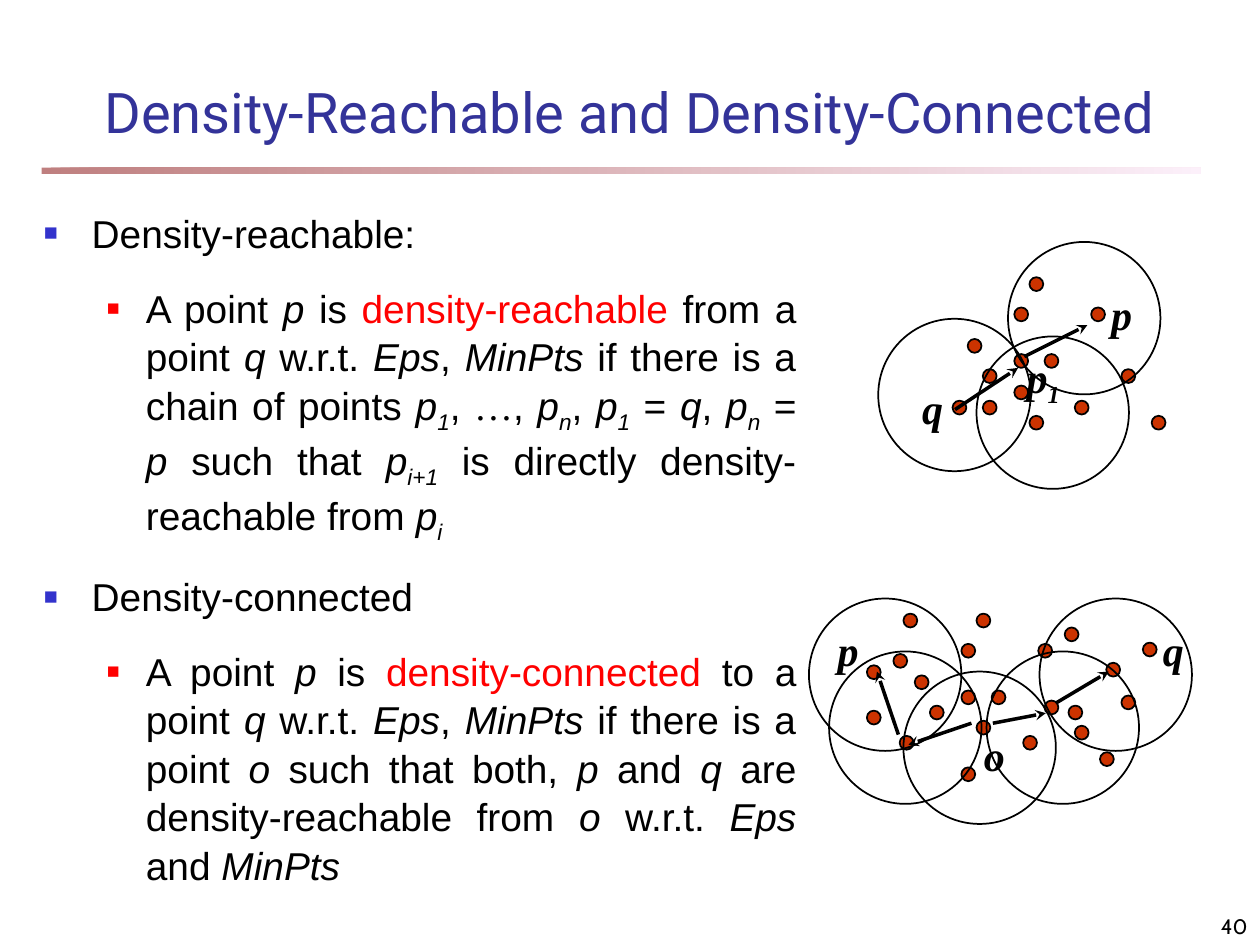
from dataclasses import dataclass

import pptx
import pptx.dml.color
import pptx.enum.shapes
import pptx.enum.text
import pptx.oxml
import pptx.oxml.ns
import pptx.oxml.xmlchemy
import pptx.util
from pptx.util import Inches

SHAPE = pptx.enum.shapes.MSO_SHAPE
ALIGN = pptx.enum.text.PP_ALIGN
ANCHOR = pptx.enum.text.MSO_ANCHOR


@dataclass(frozen=True)
class Theme:
    """Colours, fonts and type sizes of the slide."""
    title: str = "333399"
    ink: str = "000000"
    accent: str = "FF0000"
    bullet: str = "3333CC"
    dot: str = "CC3300"
    bar: tuple = ("800000", "FAE2F6")
    title_font: str = "Roboto"
    body_font: str = "Arial"
    label_font: str = "Times New Roman"
    number_font: str = "Cabin"
    title_size: float = 32
    body_size: float = 22.2
    label_size: float = 24
    number_size: float = 12


T = Theme()
DOT, CIRCLE = 0.11, 1.21

REACHABLE = (
    "A point *p* is *!density-reachable* from a point *q* w.r.t. *Eps*, *MinPts* if there is "
    "a chain of points *p_1*, *…*, *p_n*, *p_1* = *q*, *p_n* = *p* such that *p_i+1* is "
    "directly density-reachable from *p_i*")
CONNECTED = (
    "A point *p* is *!density-connected* to a point *q* w.r.t. *Eps*, *MinPts* if there is "
    "a point *o* such that both, *p* and *q* are density-reachable from *o* w.r.t. *Eps* "
    "and *MinPts*")

REACHABLE_FIGURE = dict(
    dots=[(7.68, 2.69), (8.05, 2.81), (8.05, 2.44), (7.56, 3.18), (7.8, 2.93), (7.8, 3.18),
          (8.17, 3.3), (8.17, 2.2), (8.9, 2.93), (8.66, 2.44), (8.05, 3.06), (8.29, 2.81),
          (8.53, 3.18), (9.14, 3.3)],
    circles=[(7.75, 2.67), (6.97, 2.53), (8, 1.92)],
    arrows=[((8.13, 2.83), (8.63, 2.58)), ((7.58, 3.25), (8.08, 2.92))],
    labels=[("p", 8.72, 2.24, 0.42), ("q", 7.22, 2.99, 0.42), ("p_1", 8.05, 2.74, 0.67)])
CONNECTED_FIGURE = dict(
    dots=[(7.26, 5.36), (7.63, 5.48), (7.63, 5.11), (7.14, 5.84), (7.38, 5.6), (7.63, 6.09),
          (7.75, 5.72), (7.75, 4.87), (8.48, 5.6), (8.24, 5.11), (6.88, 5.64), (7.87, 5.48),
          (8.12, 5.84), (8.73, 5.97), (8.9, 5.52), (8.29, 5.56), (8.53, 5.76), (9.07, 5.1),
          (8.45, 4.98), (8.78, 5.26), (7.09, 5.19), (6.88, 5.28), (7.17, 4.87)],
    circles=[(6.58, 5.17), (7.17, 5.33), (7.83, 5.17), (8.25, 4.75), (6.42, 4.75)],
    arrows=[((7.71, 5.74), (7.21, 5.91)), ((7.88, 5.74), (8.3, 5.66)),
            ((7.13, 5.83), (6.96, 5.33)), ((8.38, 5.58), (8.8, 5.33))],
    labels=[("p", 6.55, 4.91, 0.42), ("q", 9.13, 4.91, 0.42), ("o", 7.71, 5.74, 0.42)])


def rgb(value):
    """Return a colour object for a hex value."""
    return pptx.dml.color.RGBColor.from_string(value)


def child(parent, tag, **attrs):
    """Append a drawing element with attributes."""
    el = pptx.oxml.parse_xml(f"<a:{tag} {pptx.oxml.ns.nsdecls('a')}/>")
    for name, value in attrs.items():
        el.set(name, str(value))
    parent.append(el)
    return el


def set_font(font, name, size, color):
    """Set face, size and colour of a font."""
    font.name, font.size = name, pptx.util.Pt(size)
    font.color.rgb = rgb(color)


def add_box(shapes, x, y, w, h, anchor=ANCHOR.TOP):
    """Add a wrapping text box and return its text frame."""
    tf = shapes.add_textbox(Inches(x), Inches(y), Inches(w), Inches(h)).text_frame
    tf.word_wrap, tf.vertical_anchor = True, anchor
    return tf


def add_line(shapes, x, y, w, h, text, style, align, anchor):
    """Add a box holding one line of text."""
    p = add_box(shapes, x, y, w, h, anchor).paragraphs[0]
    p.alignment = align
    p.add_run().text = text
    set_font(p.font, *style)


def add_symbol(p, text):
    """Add an italic symbol with an optional subscript after an underscore."""
    base, _, sub = text.partition("_")
    for part, shift in ((base, 0), (sub, -25000)):
        if part:
            r = p.add_run()
            r.text, r.font.italic = part, True
            if shift:
                r.font._element.set("baseline", str(shift))


def add_marked(p, text):
    """Add runs where starred parts are symbols, accented words or an ellipsis."""
    for i, part in enumerate(text.split("*")):
        if i % 2 and part[0] not in "!…":
            add_symbol(p, part)
        elif part:
            r = p.add_run()
            r.text = part.lstrip("!")
            if part[0] == "!":
                r.font.color.rgb = rgb(T.accent)
            elif part == "…":
                r.font.name = T.label_font


def add_bullet(p, text, level):
    """Fill a justified bullet paragraph at the given level."""
    margin, hang, color, size = ((0.38, 0.38, T.bullet, 60), (0.81, 0.31, T.accent, 55))[level]
    p.level, p.alignment, p.line_spacing = level, ALIGN.JUSTIFY, 1.04
    pPr = p._p.get_or_add_pPr()
    pPr.set("marL", str(Inches(margin)))
    pPr.set("indent", str(-Inches(hang)))
    child(child(pPr, "buClr"), "srgbClr", val=color)
    child(pPr, "buSzPct", val=size * 1000)
    child(pPr, "buFont", typeface=T.body_font)
    child(pPr, "buChar", char="■")
    set_font(p.font, T.body_font, T.body_size, T.ink)
    add_marked(p, text)


def add_body(shapes):
    """Add the two definitions."""
    tf = add_box(shapes, 0.25, 1.6, 6.17, 5.5)
    items = [("Density-reachable:", 0), (REACHABLE, 1), ("Density-connected", 0), (CONNECTED, 1)]
    for i, (text, level) in enumerate(items):
        p = tf.add_paragraph() if i else tf.paragraphs[0]
        if i:
            p.space_before = pptx.util.Pt(15)
        add_bullet(p, text, level)


def add_bar(shapes):
    """Add the translucent gradient bar under the title."""
    sp = shapes.add_shape(SHAPE.RECTANGLE, Inches(0.33), Inches(1.33), Inches(9.2), Inches(0.05))
    sp.shadow.inherit = False
    sp.line.fill.background()
    sp.fill.gradient()
    sp.fill.gradient_angle = 0
    for stop, color, place in zip(sp.fill.gradient_stops, T.bar, (0, 1)):
        stop.color.rgb, stop.position = rgb(color), place
    for el in sp._element.spPr.iter(pptx.oxml.ns.qn("a:srgbClr")):
        child(el, "alpha", val=50000)


def add_round(shapes, x, y, size, fill=None):
    """Add a thinly outlined circle, filled if a colour is given."""
    sp = shapes.add_shape(SHAPE.OVAL, Inches(x), Inches(y), Inches(size), Inches(size))
    sp.shadow.inherit = False
    sp.line.color.rgb, sp.line.width = rgb(T.ink), pptx.util.Pt(1)
    if fill:
        sp.fill.solid()
        sp.fill.fore_color.rgb = rgb(fill)
    else:
        sp.fill.background()


def add_arrow(shapes, start, tip):
    """Add an arrow with a stealth head at its tip."""
    cx = shapes.add_connector(pptx.enum.shapes.MSO_CONNECTOR.STRAIGHT,
                              *(Inches(v) for v in start + tip))
    cx.line.color.rgb, cx.line.width = rgb(T.ink), pptx.util.Pt(2)
    child(cx.line._get_or_add_ln(), "tailEnd", type="stealth")
    child(cx._element.spPr, "effectLst")


def add_figure(shapes, dots, circles, arrows, labels):
    """Draw points, neighbourhoods, arrows and point names."""
    for x, y in dots:
        add_round(shapes, x, y, DOT, T.dot)
    for x, y in circles:
        add_round(shapes, x, y, CIRCLE)
    for start, tip in arrows:
        add_arrow(shapes, start, tip)
    for text, x, y, w in labels:
        p = add_box(shapes, x, y, w, 0.5).paragraphs[0]
        set_font(p.font, T.label_font, T.label_size, T.ink)
        p.font.bold = True
        add_symbol(p, text)


def main():
    """Build and save the slide."""
    prs = pptx.Presentation()
    prs.slide_width, prs.slide_height = Inches(10), Inches(7.5)
    s = prs.slides.add_slide(prs.slide_layouts[6])
    add_bar(s.shapes)
    add_line(s.shapes, 0, 0.42, 10, 0.92, "Density-Reachable and Density-Connected",
             (T.title_font, T.title_size, T.title), ALIGN.CENTER, ANCHOR.MIDDLE)
    add_body(s.shapes)
    add_figure(s.shapes, **REACHABLE_FIGURE)
    add_figure(s.shapes.add_group_shape().shapes, **CONNECTED_FIGURE)
    add_line(s.shapes, 7.92, 7.08, 2.08, 0.42, "40",
             (T.number_font, T.number_size, T.ink), ALIGN.RIGHT, ANCHOR.BOTTOM)
    prs.save("out.pptx")


if __name__ == "__main__":
    main()
